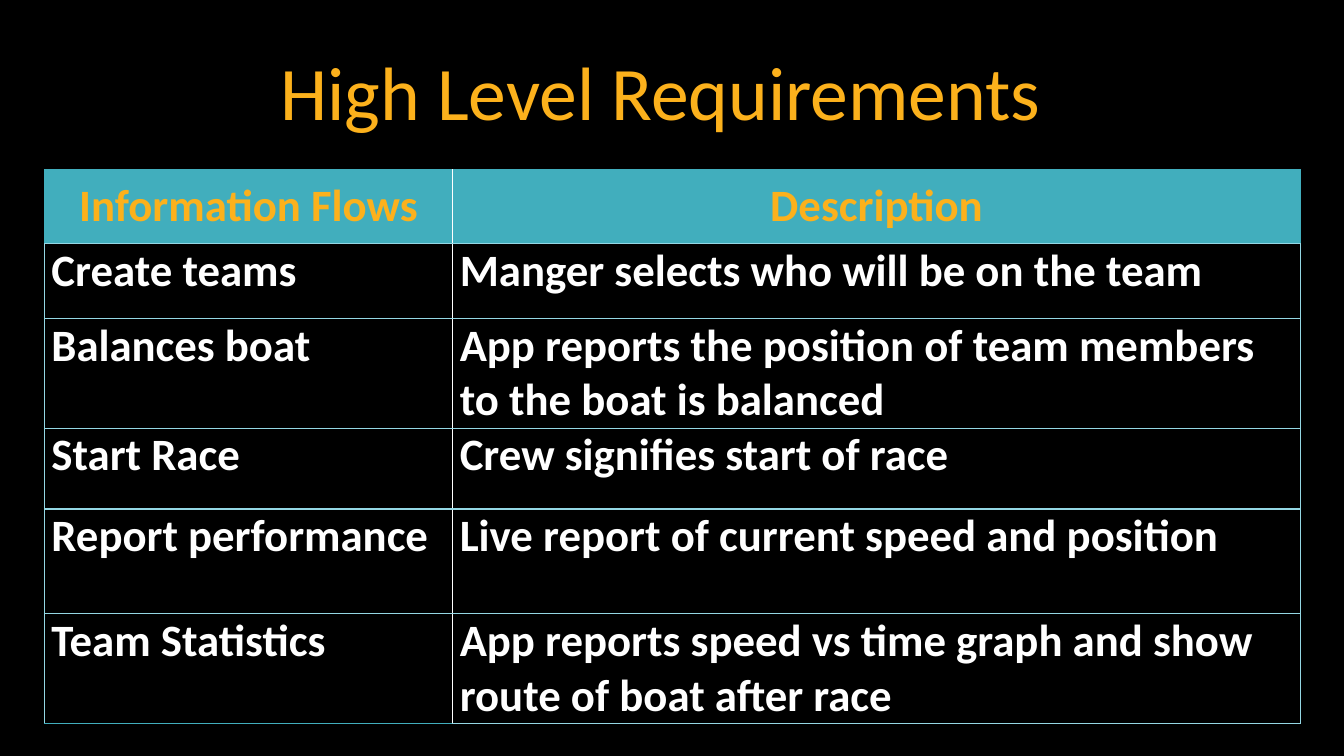
"""Builds the High Level Requirements slide: a title above a two-column table."""
from lxml import etree
from pptx import Presentation, util as u
from pptx.dml.color import RGBColor
from pptx.enum import text
from pptx.oxml.ns import qn

BLACK = RGBColor(0x00, 0x00, 0x00)
WHITE = RGBColor(0xFF, 0xFF, 0xFF)
AMBER = RGBColor(0xFC, 0xB1, 0x1C)
TEAL = RGBColor(0x41, 0xAE, 0xBD)
PALE_TEAL = RGBColor(0x94, 0xD7, 0xE4)

COLUMNS = [4.05, 8.41]
ROWS = [
    (0.74, "Information Flows", "Description"),
    (0.74, "Create teams", "Manger selects who will be on the team"),
    (1.09, "Balances boat", "App reports the position of team members to the boat is balanced"),
    (0.8, "Start Race", "Crew signifies start of race"),
    (1.04, "Report performance", "Live report of current speed and position"),
    (1.09, "Team Statistics", "App reports speed vs time graph and show route of boat after race"),
]


class Deck:
    def __init__(self, prs, font):
        self.font = font
        self.s = prs.slides.add_slide(prs.slide_layouts[5])
        fill = self.s.background.fill
        fill.solid()
        fill.fore_color.rgb = BLACK

    def style(self, p, size, color, align, bold=False):
        p.alignment = align
        p.font.name = self.font
        p.font.size = u.Pt(size)
        p.font.bold = bold
        p.font.color.rgb = color

    def title(self, words, left, top, width, height):
        sp = self.s.shapes.title
        sp.left, sp.top, sp.width, sp.height = map(u.Inches, (left, top, width, height))
        tf = sp.text_frame
        tf.text = words
        tf.vertical_anchor = text.MSO_ANCHOR.MIDDLE
        p = tf.paragraphs[0]
        p.line_spacing = 0.9
        self.style(p, 54, AMBER, text.PP_ALIGN.LEFT)

    def borders(self, cell, colors):
        tcPr = cell._tc.get_or_add_tcPr()
        for i, (side, color) in enumerate(zip("LRTB", colors)):
            width = 0.5 if color == TEAL else 1
            ln = etree.Element(qn(f"a:ln{side}"), w=str(u.Pt(width)))
            fill = etree.SubElement(ln, qn("a:solidFill"))
            etree.SubElement(fill, qn("a:srgbClr"), val=str(color))
            tcPr.insert(i, ln)

    def cell(self, cell, words, header):
        cell.text = words
        cell.margin_left = cell.margin_right = u.Inches(0.07)
        cell.margin_top = cell.margin_bottom = 0
        cell.vertical_anchor = text.MSO_ANCHOR.MIDDLE if header else text.MSO_ANCHOR.TOP
        cell.fill.solid()
        cell.fill.fore_color.rgb = TEAL if header else BLACK
        align = text.PP_ALIGN.CENTER if header else text.PP_ALIGN.LEFT
        self.style(cell.text_frame.paragraphs[0], 32, AMBER if header else WHITE, align, True)

    def table(self, rows, columns, left, top):
        width, height = sum(columns), sum(row[0] for row in rows)
        frame = self.s.shapes.add_table(len(rows), len(columns), *map(u.Inches, (left, top, width, height)))
        table = frame.table
        for column, size in zip(table.columns, columns):
            column.width = u.Inches(size)
        for i, (size, *words) in enumerate(rows):
            table.rows[i].height = u.Inches(size)
            header, last = i == 0, i == len(rows) - 1
            outer = TEAL if header else PALE_TEAL
            for j, word in enumerate(words):
                cell = table.cell(i, j)
                self.cell(cell, word, header)
                self.borders(cell, (WHITE if j else outer, outer if j else WHITE,
                                    outer, TEAL if last and j == 0 else PALE_TEAL))


prs = Presentation()
prs.slide_width, prs.slide_height = u.Inches(13.33), u.Inches(7.5)
deck = Deck(prs, "Calibri")
deck.title("High Level Requirements", 2.68, 0.23, 7.98, 1.45)
deck.table(ROWS, COLUMNS, 0.44, 1.68)
prs.save("out.pptx")
